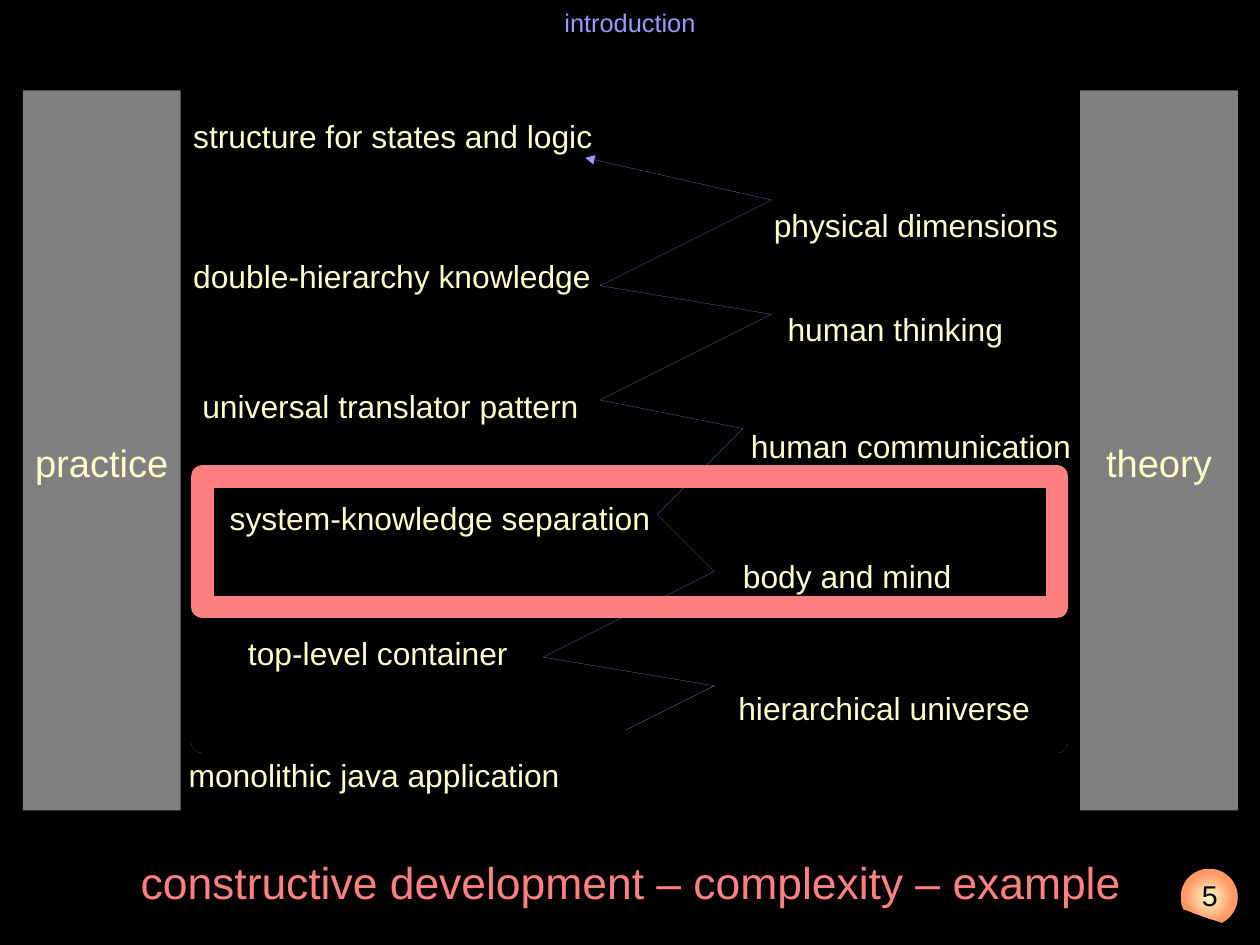
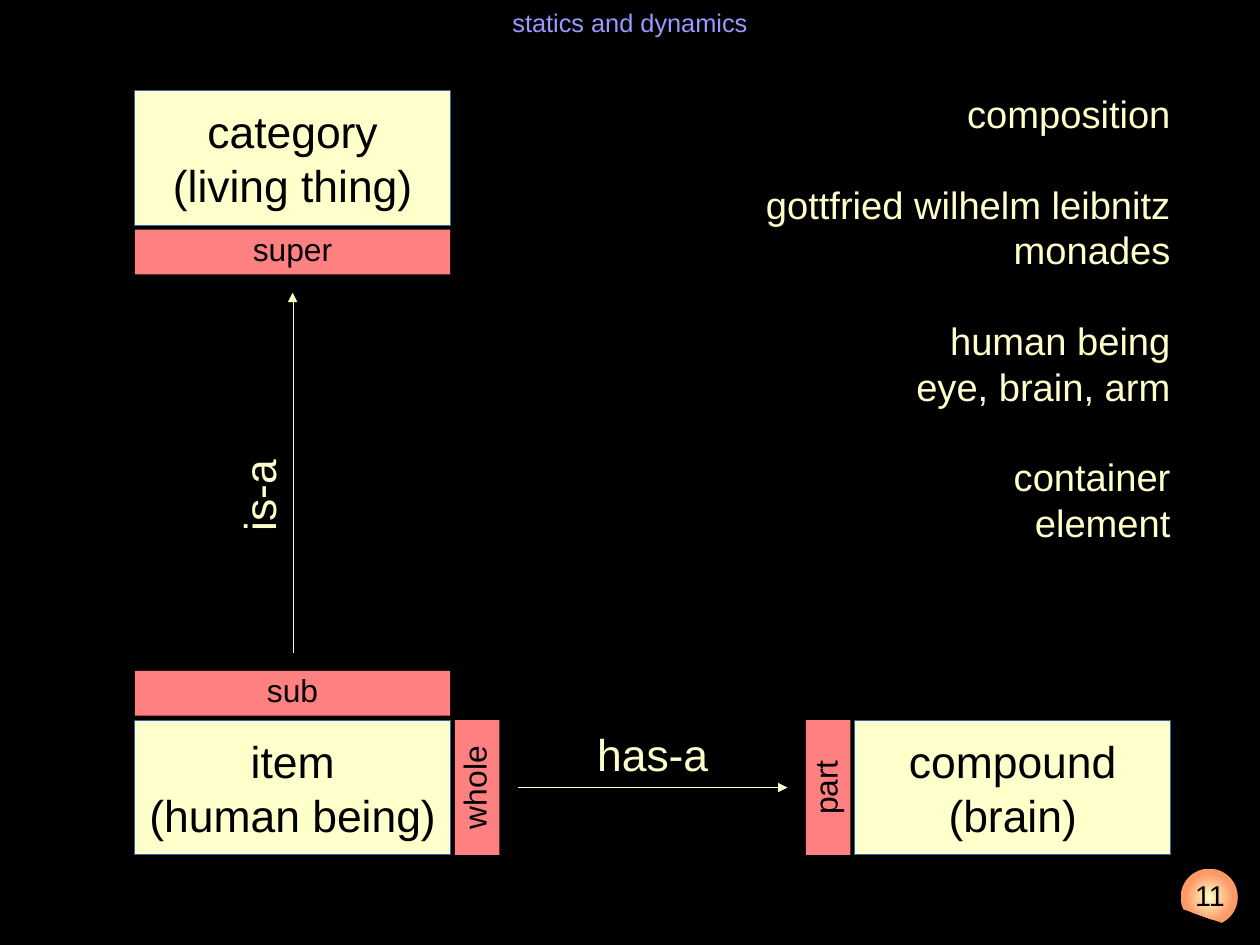
from dataclasses import dataclass
from lxml.etree import SubElement
from pptx import Presentation
from pptx.dml.color import RGBColor
from pptx.enum.shapes import MSO_CONNECTOR, MSO_SHAPE
from pptx.enum.text import MSO_ANCHOR, MSO_AUTO_SIZE, PP_ALIGN
from pptx.oxml.ns import qn
from pptx.util import Inches, Pt


@dataclass(frozen=True)
class Theme:
    font: str = "Arial"
    black: str = "000000"
    cream: str = "FFFFCC"
    coral: str = "FF8080"
    peach: str = "FF9966"
    lilac: str = "9999FF"
    grey: str = "808080"
    blue: str = "3465A4"
    head: int = 16
    page: int = 18
    small: int = 20
    mid: int = 24
    large: int = 28
    frame: float = 14.17


T = Theme()
WIDE, HIGH = 28 / 2.54, 21 / 2.54
LEFT, MID, RIGHT = PP_ALIGN.LEFT, PP_ALIGN.CENTER, PP_ALIGN.RIGHT


def rgb(tint):
    return RGBColor.from_string(tint)


def place(shape, box):
    shape.left, shape.top, shape.width, shape.height = map(Inches, box)


def write(shape, lines, size, tint, align=MID, anchor=MSO_ANCHOR.MIDDLE,
          pitch=1, gaps=()):
    frame = shape.text_frame
    frame.word_wrap = True
    frame.auto_size = MSO_AUTO_SIZE.NONE
    frame.vertical_anchor = anchor
    frame.margin_left = frame.margin_right = 0
    frame.margin_top = frame.margin_bottom = 0
    for i, line in enumerate(lines):
        para = frame.add_paragraph() if i else frame.paragraphs[0]
        props = para._p.get_or_add_pPr()
        props.set("marL", "0")
        props.set("indent", "0")
        SubElement(props, qn("a:buNone"))
        para.alignment = align
        para.line_spacing = pitch
        para.space_before = Pt(size * 1.18 if i in gaps else 0)
        run = para.add_run()
        run.text = line
        run.font.name, run.font.size = T.font, Pt(size)
        run.font.color.rgb = rgb(tint)


def label(slide, box, line, size, tint, **style):
    text = slide.shapes.add_textbox(*map(Inches, box))
    write(text, [line], size, tint, **style)
    return text


def block(slide, box, fill=None, line=None, width=0, kind=MSO_SHAPE.RECTANGLE):
    shape = slide.shapes.add_shape(kind, *map(Inches, box))
    shape.shadow.inherit = False
    if fill:
        shape.fill.solid()
        shape.fill.fore_color.rgb = rgb(fill)
    else:
        shape.fill.background()
    if line:
        stroke(shape, line, width)
    else:
        shape.line.fill.background()
    return shape


def stroke(shape, tint, width=0, tip=False):
    shape.line.color.rgb = rgb(tint)
    edge = shape._element.spPr.find(qn("a:ln"))
    edge.set("w", str(int(Pt(width))))
    if tip:
        SubElement(edge, qn("a:tailEnd"), type="triangle")


def arrow(slide, start, end):
    link = slide.shapes.add_connector(
        MSO_CONNECTOR.STRAIGHT, *map(Inches, (*start, *end)))
    stroke(link, T.cream, tip=True)
    SubElement(link._element.spPr, qn("a:effectLst"))


def badge(slide, x, y, page):
    disc = block(slide, (x, y, 0.5, 0.5), kind=MSO_SHAPE.CHORD)
    disc.adjustments[0], disc.adjustments[1] = 92.97, 38.29
    disc.fill.gradient()
    stops = disc.fill.gradient_stops
    for stop, tint, spot in zip(stops, (T.cream, T.peach), (0, 0.6)):
        stop.color.rgb = rgb(tint)
        stop.position = spot
    grad = disc._element.spPr.find(qn("a:gradFill"))
    grad.remove(grad.find(qn("a:lin")))
    glow = SubElement(grad, qn("a:path"), {"path": "circle"})
    SubElement(glow, qn("a:fillToRect"), dict.fromkeys("ltrb", "50000"))
    label(slide, (x - 0.02, y + 0.08, 0.55, 0.39), str(page), T.page, T.black,
          anchor=MSO_ANCHOR.TOP)


def start(deck, kind, title, page):
    slide = deck.slides.add_slide(deck.slide_layouts.get_by_name(kind))
    place(slide.shapes.title, (0, 0, WIDE, 0.39))
    write(slide.shapes.title, [title], T.head, T.lilac)
    badge(slide, 10.33, 7.6, page)
    return slide


LABELS = [
    (1.45, 5.71, 3.54, "monolithic java application"),
    (6.26, 5.12, 2.76, "hierarchical universe"),
    (1.97, 4.64, 2.76, "top-level container"),
    (1.81, 3.46, 3.94, "system-knowledge separation"),
    (6.3, 3.97, 2.17, "body and mind"),
    (1.57, 2.48, 3.54, "universal translator pattern"),
    (6.37, 2.83, 2.95, "human communication"),
    (6.57, 0.9, 2.76, "physical dimensions"),
    (6.69, 1.81, 2.17, "human thinking"),
    (1.49, 0.12, 3.74, "structure for states and logic"),
    (1.49, 1.34, 3.74, "double-hierarchy knowledge"),
]
ZIGZAG = [
    (5.05, 5.71), (6.05, 5.21), (4.55, 4.96), (6.05, 4.21), (5.55, 3.71),
    (6.3, 2.96), (5.05, 2.71), (6.55, 1.96), (5.05, 1.71), (6.55, 0.96),
    (4.92, 0.59),
]
FRAMES = [(4.52, 1.18, T.coral), (4.52, 1.18, T.black), (3.38, 1.14, T.coral)]


def ladder(slide, x, y, w, h):
    side = 1.38
    for left, name in ((x, "practice"), (x + w - side, "theory")):
        pillar = block(slide, (left, y, side, h), T.grey)
        write(pillar, [name], T.mid, T.cream, pitch=1.5)
    for dx, dy, span, name in LABELS:
        label(slide, (x + dx, y + dy, span, 0.39), name, T.small, T.cream,
              align=LEFT, pitch=1.5)
    first, *rest = [(Inches(x + dx), Inches(y + dy)) for dx, dy in ZIGZAG]
    pen = slide.shapes.build_freeform(*first)
    pen.add_line_segments(rest, close=False)
    trail = pen.convert_to_shape()
    trail.shadow.inherit = False
    trail.fill.background()
    stroke(trail, T.lilac, tip=True)
    for dy, tall, tint in FRAMES:
        block(slide, (x + 1.57, y + dy, 7.48, tall), line=tint, width=T.frame)


def node(slide, x, y, w, h, lines):
    shape = block(slide, (x, y, w, h), T.cream, T.blue)
    write(shape, lines, T.large, T.black)


def tag(slide, mid, w, h, name, turn=0):
    cx, cy = mid
    shape = block(slide, (cx - w / 2, cy - h / 2, w, h), T.coral)
    shape.rotation = turn
    write(shape, [name], T.small, T.black, anchor=MSO_ANCHOR.TOP)


def graph(slide, x, y, w, h):
    wide, tall, thick, gap, space = 2.76, 1.18, 0.39, 0.04, 0.16
    low, far = y + h - tall, x + w - wide
    cx, cy = x + wide / 2, low + tall / 2
    step = gap + thick / 2
    reach = gap + thick + space
    node(slide, x, low, wide, tall, ["item", "(human being)"])
    node(slide, x, y, wide, tall, ["category", "(living thing)"])
    node(slide, far, low, wide, tall, ["compound", "(brain)"])
    tag(slide, (cx, low - step), wide, thick, "sub")
    tag(slide, (cx, y + tall + step), wide, thick, "super")
    tag(slide, (x + wide + step, cy), tall, thick, "whole", 270)
    tag(slide, (far - step, cy), tall, thick, "part", 270)
    arrow(slide, (cx, low - reach), (cx, y + tall + reach))
    arrow(slide, (x + wide + reach, cy), (far - reach, cy))
    up = label(slide, (cx - 0.89, y + 3.25, tall, tall / 2), "is-a",
               T.large, T.cream)
    up.rotation = 270
    label(slide, (x + 3.94, low, tall, tall / 2), "has-a", T.large, T.cream)


def notes(slide, box):
    body = slide.placeholders[1]
    place(body, box)
    lines = ["composition", "gottfried wilhelm leibnitz", "monades",
             "human being", "eye, brain, arm", "container", "element"]
    write(body, lines, T.mid, T.cream, align=RIGHT, anchor=MSO_ANCHOR.TOP,
          gaps=(1, 3, 5))


def main():
    deck = Presentation()
    deck.slide_width, deck.slide_height = Inches(WIDE), Inches(HIGH)
    back = deck.slide_master.background.fill
    back.solid()
    back.fore_color.rgb = rgb(T.black)

    slide = start(deck, "Title Only", "introduction", 5)
    ladder(slide, 0.2, 0.79, 10.63, 6.3)
    label(slide, (0.79, 7.48, 9.45, 0.59),
          "constructive development – complexity – example",
          T.large, T.coral, anchor=MSO_ANCHOR.TOP)

    slide = start(deck, "Title and Content", "statics and dynamics", 11)
    graph(slide, 1.18, 0.79, 9.06, 6.69)
    notes(slide, (5.12, 0.79, 5.12, 5.12))
    deck.save("out.pptx")


if __name__ == "__main__":
    main()
